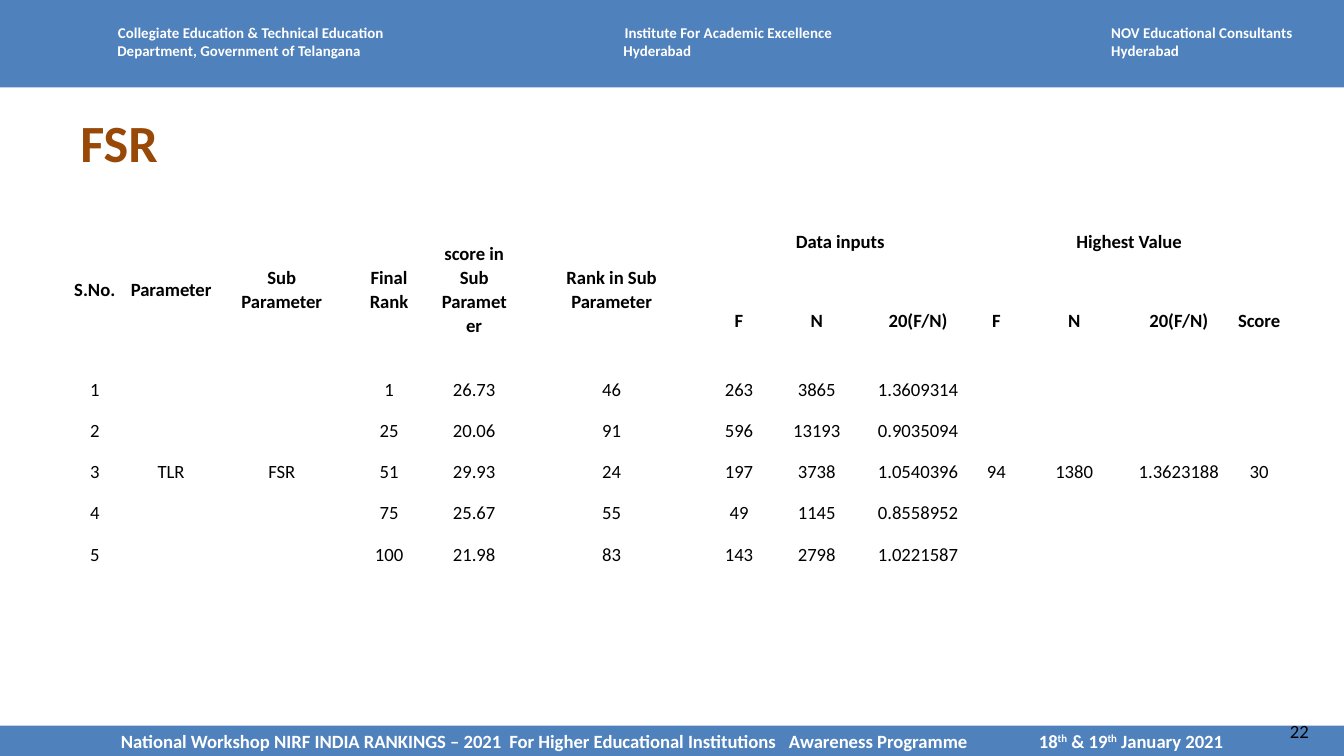
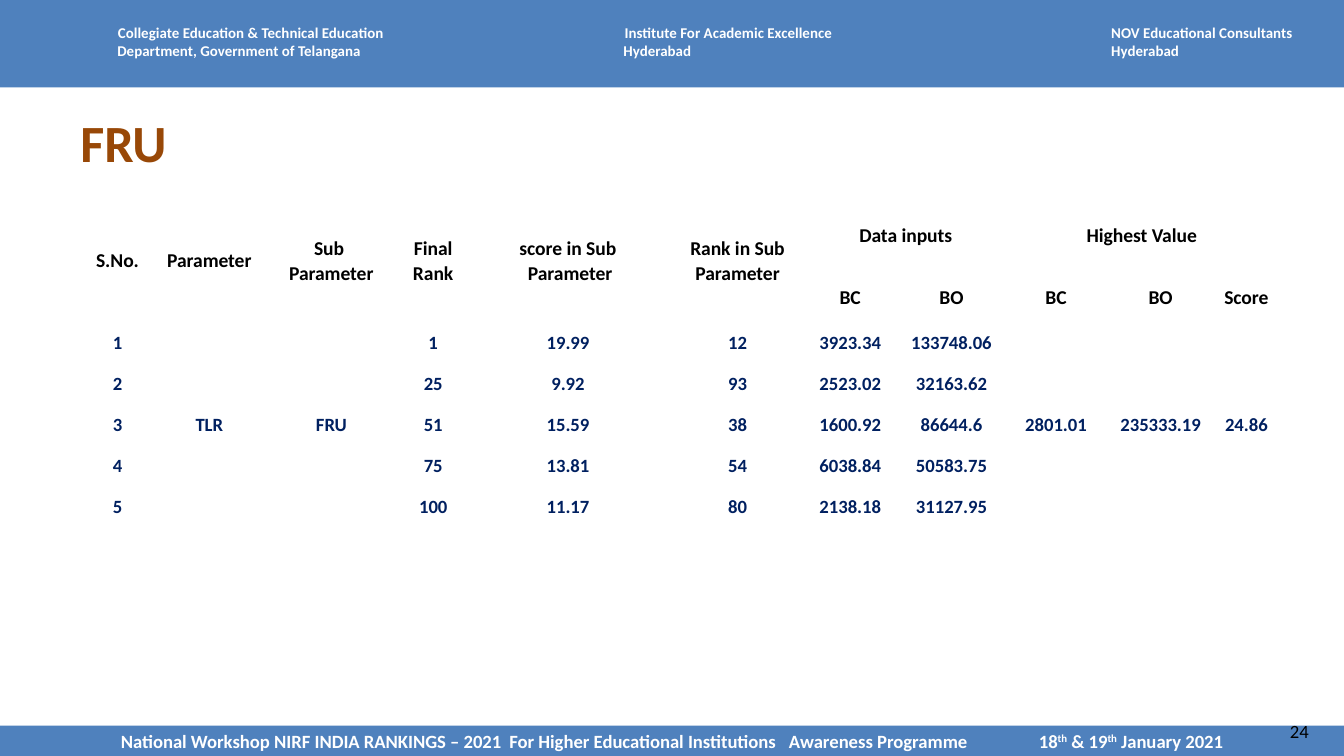
from dataclasses import dataclass
from typing import NamedTuple

from lxml.etree import SubElement
from pptx import Presentation
from pptx.dml.color import RGBColor
from pptx.enum.shapes import MSO_SHAPE
from pptx.enum.text import MSO_ANCHOR, PP_ALIGN
from pptx.oxml.ns import qn
from pptx.util import Inches, Pt


class TextStyle(NamedTuple):
    size: float
    color: str
    bold: bool = True


@dataclass(frozen=True)
class Theme:
    font: str = "Calibri"
    band: str = "4F81BD"
    partner: TextStyle = TextStyle(8, "FFFFFF")
    footer: TextStyle = TextStyle(10, "FFFFFF")
    number: TextStyle = TextStyle(10, "000000", False)
    title: TextStyle = TextStyle(28, "984807")
    line_spacing: float = 1.07


class Partner(NamedTuple):
    left: float
    width: float
    lines: tuple[str, str]
    first_align: PP_ALIGN


class Group(NamedTuple):
    """A heading over several columns."""
    label: str
    columns: tuple[str, ...]


class ScoreRow(NamedTuple):
    final_rank: str
    score: str
    sub_rank: str
    inputs: tuple[str, ...]


@dataclass(frozen=True)
class ScoreSlide:
    title: str
    number: int
    left: float
    top: float
    width: float
    height: float
    column_shares: tuple[float, ...]
    top_row: float
    headings: tuple[str, ...]
    groups: tuple[Group, Group]
    rows: tuple[ScoreRow, ...]
    highest: tuple[str, ...]
    heading_style: TextStyle
    body_style: TextStyle


THEME = Theme()
SLIDE_WIDTH = 10
SLIDE_HEIGHT = SLIDE_WIDTH * 9 / 16
PARAMETER = "TLR"

PARTNERS = (
    Partner(0.75, 2.26, ("Collegiate Education & Technical Education ",
                         " Department, Government of Telangana"), PP_ALIGN.CENTER),
    Partner(4.54, 1.76, ("Institute For Academic Excellence", "Hyderabad"), PP_ALIGN.CENTER),
    Partner(8.17, 1.67, ("NOV Educational Consultants", "Hyderabad"), PP_ALIGN.LEFT),
)

FOOTER_MARGIN = 0.9
FOOTER_TABS = (2.89, 4.97, 6.83)
FOOTER_RUNS = (
    ("National Workshop NIRF INDIA RANKINGS – 2021\tFor Higher Educational Institutions"
     "\tAwareness Programme\t18", False),
    ("th", True),
    (" & 19", False),
    ("th", True),
    (" January 2021", False),
)

SLIDES = (
    ScoreSlide(
        title="FSR", number=22, left=0.5, top=1.56, width=9.08, height=2.31, top_row=0.47,
        column_shares=(0.41, 0.73, 0.92, 0.68, 0.59, 1.46, 0.44,
                       0.72, 0.79, 0.38, 0.78, 0.78, 0.42),
        headings=("S.No.", "Parameter", "Sub Parameter", "Final Rank",
                  "score in Sub Parameter", "Rank in Sub\nParameter"),
        groups=(Group("Data inputs", ("F", "N", "20(F/N)")),
                Group("Highest Value", ("F", "N", "20(F/N)", "Score"))),
        rows=(
            ScoreRow("1", "26.73", "46", ("263", "3865", "1.3609314")),
            ScoreRow("25", "20.06", "91", ("596", "13193", "0.9035094")),
            ScoreRow("51", "29.93", "24", ("197", "3738", "1.0540396")),
            ScoreRow("75", "25.67", "55", ("49", "1145", "0.8558952")),
            ScoreRow("100", "21.98", "83", ("143", "2798", "1.0221587")),
        ),
        highest=("94", "1380", "1.3623188", "30"),
        heading_style=TextStyle(10, "000000"),
        body_style=TextStyle(10, "000000", False),
    ),
    ScoreSlide(
        title="FRU", number=24, left=0.58, top=1.48, width=8.92, height=2.37, top_row=0.54,
        column_shares=(0.59, 0.78, 1.04, 0.48, 1.53, 1, 0.68, 0.83, 0.73, 0.83, 0.45),
        headings=("S.No.", "Parameter", "Sub \nParameter", "Final Rank",
                  "score in Sub\n Parameter", "Rank in Sub\nParameter"),
        groups=(Group("Data inputs", ("BC", "BO")),
                Group("Highest Value", ("BC", "BO", "Score"))),
        rows=(
            ScoreRow("1", "19.99", "12", ("3923.34", "133748.06")),
            ScoreRow("25", "9.92", "93", ("2523.02", "32163.62")),
            ScoreRow("51", "15.59", "38", ("1600.92", "86644.6")),
            ScoreRow("75", "13.81", "54", ("6038.84", "50583.75")),
            ScoreRow("100", "11.17", "80", ("2138.18", "31127.95")),
        ),
        highest=("2801.01", "235333.19", "24.86"),
        heading_style=TextStyle(10.5, "000000"),
        body_style=TextStyle(10, "002060"),
    ),
)


def style_font(font, style: TextStyle) -> None:
    formats = {"name": THEME.font, "size": Pt(style.size), "bold": style.bold}
    for attribute, value in formats.items():
        setattr(font, attribute, value)
    font.color.rgb = RGBColor.from_string(style.color)


def style_paragraphs(frame, style: TextStyle) -> None:
    for paragraph in frame.paragraphs:
        for run in paragraph.runs:
            style_font(run.font, style)


def add_band(slide, top: float, height: float):
    band = slide.shapes.add_shape(MSO_SHAPE.RECTANGLE, 0, Inches(top),
                                  Inches(SLIDE_WIDTH), Inches(height))
    band.shadow.inherit = False
    band.fill.solid()
    band.fill.fore_color.rgb = RGBColor.from_string(THEME.band)
    band.line.fill.background()
    return band


def add_text(slide, left: float, top: float, width: float, height: float,
             text: str, style: TextStyle):
    frame = slide.shapes.add_textbox(Inches(left), Inches(top),
                                     Inches(width), Inches(height)).text_frame
    frame.word_wrap = True
    frame.text = text
    style_paragraphs(frame, style)
    return frame


def add_footer(slide) -> None:
    frame = add_band(slide, 5.4, 0.23).text_frame
    frame.vertical_anchor = MSO_ANCHOR.MIDDLE
    frame.margin_left = Inches(FOOTER_MARGIN)
    paragraph = frame.paragraphs[0]
    paragraph.alignment = PP_ALIGN.LEFT
    tabs = SubElement(paragraph._p.get_or_add_pPr(), qn("a:tabLst"))
    for position in FOOTER_TABS:
        SubElement(tabs, qn("a:tab"), pos=str(Inches(position)), algn="l")
    for text, raised in FOOTER_RUNS:
        run = paragraph.add_run()
        run.text = text
        style_font(run.font, THEME.footer)
        if raised:
            run.font._element.set("baseline", "30000")


def add_frame(slide, title: str, number: int) -> None:
    """Draw what every slide shares: bands, partners, footer, number and title."""
    add_band(slide, 0, 0.65)
    for partner in PARTNERS:
        frame = add_text(slide, partner.left, 0.13, partner.width, 0.37,
                         "\n".join(partner.lines), THEME.partner)
        frame.paragraphs[0].alignment = partner.first_align
    add_footer(slide)
    add_text(slide, 9.5, 5.31, 0.5, 0.27, str(number), THEME.number)
    add_text(slide, 0.5, 0.77, 9, 0.46, title, THEME.title)


def fill_cell(table, row: int, column: int, text: str, style: TextStyle,
              rows: int = 1, columns: int = 1) -> None:
    cell = table.cell(row, column)
    if rows > 1 or columns > 1:
        cell.merge(table.cell(row + rows - 1, column + columns - 1))
    cell.text = text
    for paragraph in cell.text_frame.paragraphs:
        paragraph.alignment = PP_ALIGN.CENTER
        paragraph.line_spacing = THEME.line_spacing
    style_paragraphs(cell.text_frame, style)


def add_score_table(slide, content: ScoreSlide) -> None:
    lower_rows = len(content.rows) + 1
    lower_height = (content.height - content.top_row) / lower_rows
    heights = (content.top_row,) + (lower_height,) * lower_rows
    table = slide.shapes.add_table(
        len(heights), len(content.column_shares), Inches(content.left), Inches(content.top),
        Inches(content.width), Inches(content.height)).table
    table.first_row = table.horz_banding = False
    scale = content.width / sum(content.column_shares)
    for column, share in zip(table.columns, content.column_shares):
        column.width = Inches(share * scale)
    for row, height in zip(table.rows, heights):
        row.height = Inches(height)
    cell_format = {"margin_left": Inches(0.05), "margin_right": Inches(0.05),
                   "margin_top": 0, "margin_bottom": 0,
                   "vertical_anchor": MSO_ANCHOR.MIDDLE}
    for cell in table.iter_cells():
        cell.fill.background()
        for attribute, value in cell_format.items():
            setattr(cell, attribute, value)

    for column, heading in enumerate(content.headings):
        fill_cell(table, 0, column, heading, content.heading_style, rows=2)
    start = len(content.headings)
    for group in content.groups:
        fill_cell(table, 0, start, group.label, content.heading_style,
                  columns=len(group.columns))
        for column, label in enumerate(group.columns, start):
            fill_cell(table, 1, column, label, content.heading_style)
        start += len(group.columns)

    for serial, score_row in enumerate(content.rows, 1):
        fill_cell(table, serial + 1, 0, str(serial), content.body_style)
        values = (score_row.final_rank, score_row.score, score_row.sub_rank, *score_row.inputs)
        for column, value in enumerate(values, 3):
            fill_cell(table, serial + 1, column, value, content.body_style)

    first_highest = len(content.column_shares) - len(content.highest)
    shared = [(1, PARAMETER), (2, content.title), *enumerate(content.highest, first_highest)]
    for column, value in shared:
        fill_cell(table, 2, column, value, content.body_style, rows=len(content.rows))


def main() -> None:
    deck = Presentation()
    deck.slide_width, deck.slide_height = Inches(SLIDE_WIDTH), Inches(SLIDE_HEIGHT)
    for content in SLIDES:
        slide = deck.slides.add_slide(deck.slide_layouts[6])
        add_frame(slide, content.title, content.number)
        add_score_table(slide, content)
    deck.save("out.pptx")


if __name__ == "__main__":
    main()
